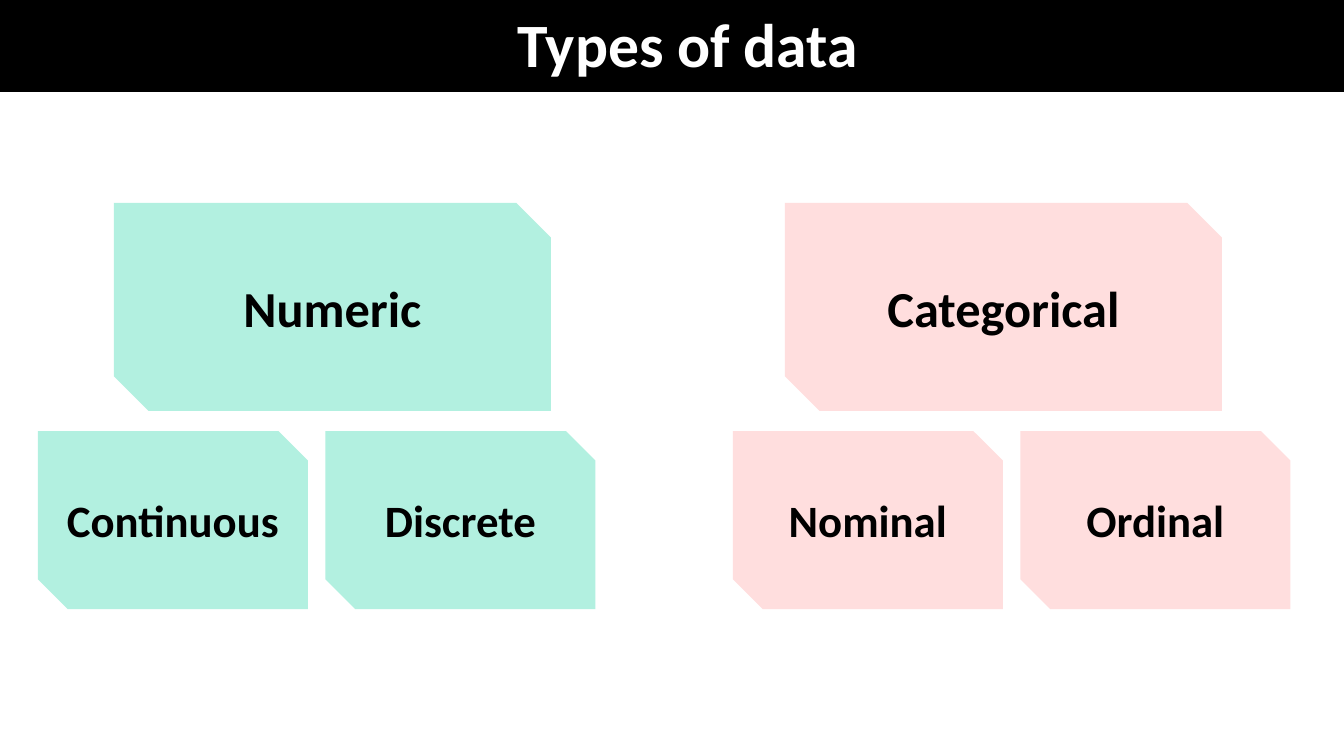
from pptx import Presentation
from pptx.dml.color import RGBColor
from pptx.enum.shapes import MSO_SHAPE as Shape
from pptx.enum.text import MSO_ANCHOR as Anchor, PP_ALIGN as Align
from pptx.util import Emu, Pt

EMU_PER_PIXEL = 914400 / 100.8
SLIDE_SIZE = (1344, 756)
BLACK, WHITE, MINT, ROSE = "000000", "FFFFFF", "B2F0E0", "FFDEDE"

TYPE_TOP, TYPE_SIZE = 203, (437, 208)
SUBTYPE_TOP, SUBTYPE_SIZE, SUBTYPE_STEP = 431, (270, 178), 287.5
# Type, colour, left of the type, left of its first subtype, subtypes
DATA_TYPES = [
    ("Numeric", MINT, 114, 38, ["Continuous", "Discrete"]),
    ("Categorical", ROSE, 785, 733, ["Nominal", "Ordinal"]),
]


def px(*lengths):
    """Turn pixel lengths into a list of EMU lengths."""
    return [Emu(round(length * EMU_PER_PIXEL)) for length in lengths]


def color(hex_code):
    """Turn a hex string into a colour."""
    return RGBColor.from_string(hex_code)


def write(frame, text, size, ink=BLACK, font="Calibri", bold=True, spacing=None):
    """Write centred text into a text frame."""
    frame.word_wrap = True
    frame.vertical_anchor = Anchor.MIDDLE
    paragraph = frame.paragraphs[0]
    paragraph.alignment = Align.CENTER
    paragraph.line_spacing = spacing
    run = paragraph.add_run()
    run.text = text
    run.font.name, run.font.size, run.font.bold = font, Pt(size), bold
    run.font.color.rgb = color(ink)


def add_block(slide, kind, box, fill):
    """Add a flat filled shape without an outline."""
    block = slide.shapes.add_shape(kind, *px(*box))
    block.shadow.inherit = False
    block.fill.solid()
    block.fill.fore_color.rgb = color(fill)
    block.line.fill.background()
    return block


def add_card(slide, label, box, fill, size):
    """Add a snipped card with its label."""
    card = add_block(slide, Shape.SNIP_2_DIAG_RECTANGLE, box, fill)
    write(card.text_frame, label, size)


def add_header(slide, title):
    """Add the black band and the slide title on it."""
    add_block(slide, Shape.RECTANGLE, (-26, 0, 1402, 92), BLACK)
    heading = slide.shapes.add_textbox(*px(310, 4, 756, 87))
    write(heading.text_frame, title, 44, ink=WHITE, spacing=0.9)


def main():
    """Build the slide and save it."""
    deck = Presentation()
    deck.slide_width, deck.slide_height = px(*SLIDE_SIZE)
    slide = deck.slides.add_slide(deck.slide_layouts[6])
    add_header(slide, "Types of data")
    for name, fill, left, first_left, subtypes in DATA_TYPES:
        add_card(slide, name, (left, TYPE_TOP, *TYPE_SIZE), fill, 36)
        for index, subtype in enumerate(subtypes):
            subtype_left = first_left + index * SUBTYPE_STEP
            box = (subtype_left, SUBTYPE_TOP, *SUBTYPE_SIZE)
            add_card(slide, subtype, box, fill, 32)
    deck.save("out.pptx")


main()
